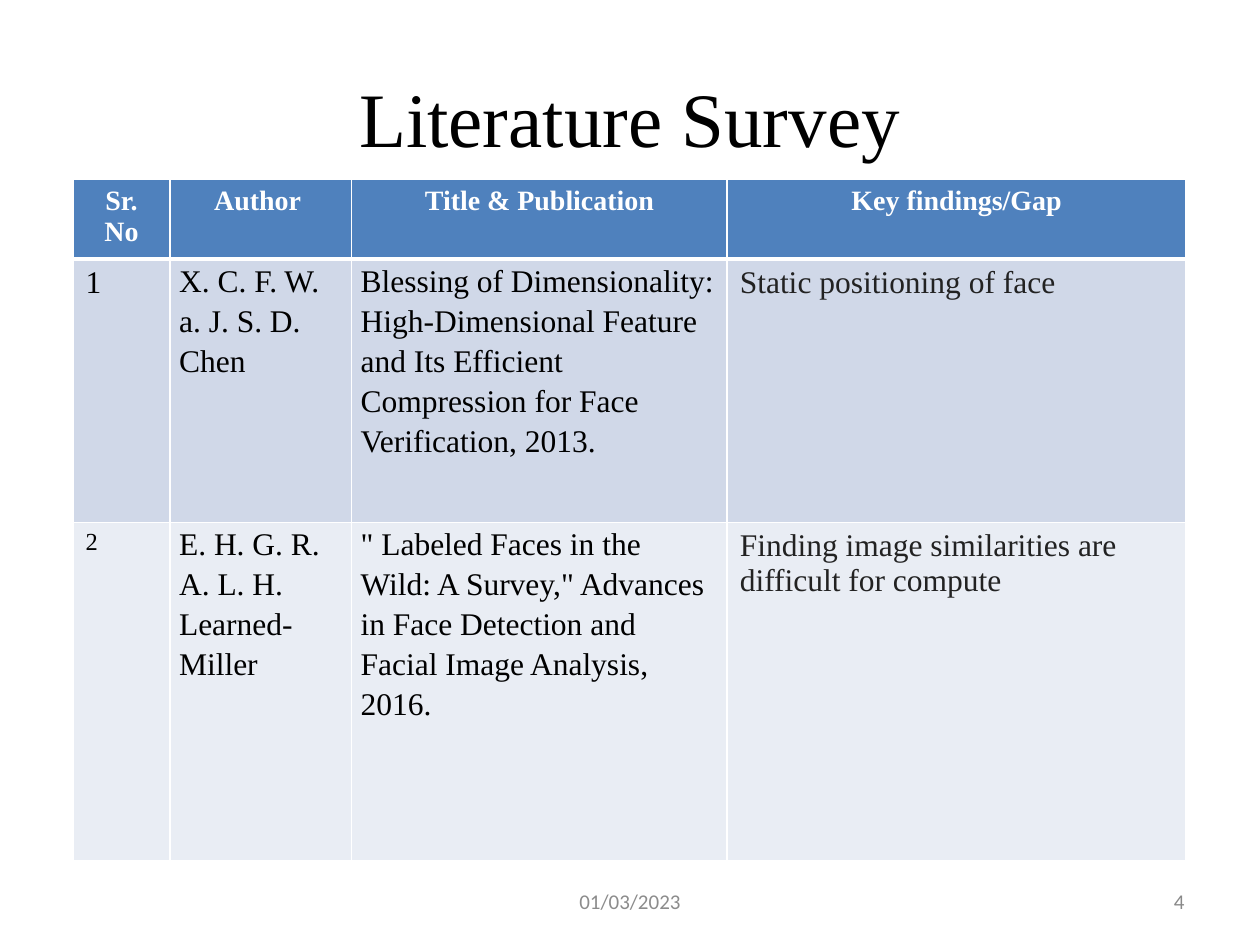
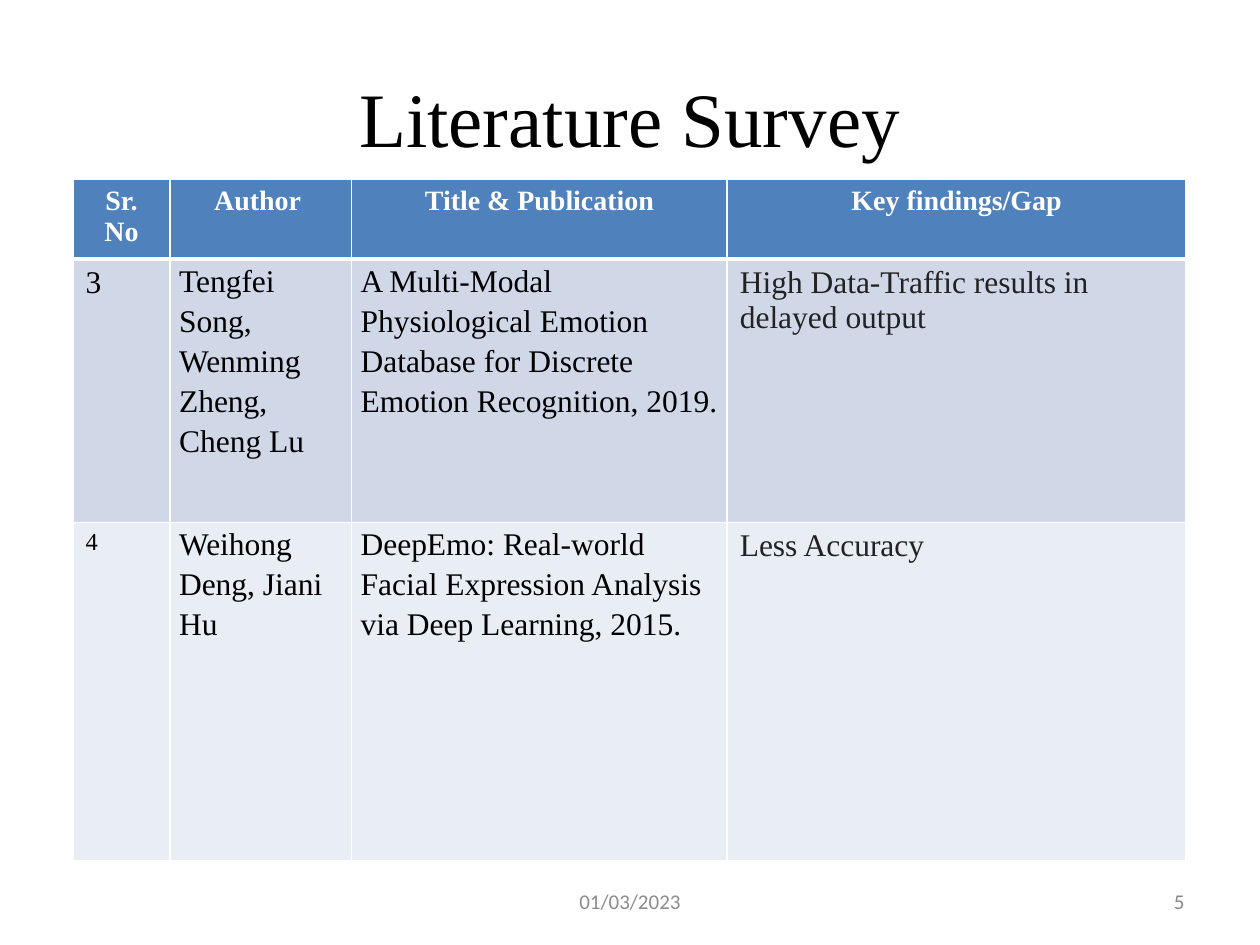
from lxml.etree import SubElement
from pptx import Presentation
from pptx.dml.color import RGBColor
from pptx.enum.text import MSO_ANCHOR, PP_ALIGN
from pptx.oxml.ns import qn
from pptx.util import Cm, Pt

TITLE = "Literature Survey"
DATE = "01/03/2023"
HEADINGS = ["Sr. No", "Author ", "Title & Publication", "Key findings/Gap"]
SURVEY_PAGES = {
    4: [
        ("1", "X. C. F. W. a. J. S. D. Chen",
         "Blessing of Dimensionality: High-Dimensional Feature and Its Efficient "
         "Compression for Face Verification, 2013.",
         "Static positioning of face "),
        ("2", "E. H. G. R. A. L. H. Learned-Miller",
         "\" Labeled Faces in the Wild: A Survey,\" Advances in Face Detection "
         "and Facial Image Analysis, 2016.",
         "Finding image similarities are difficult for compute"),
    ],
    5: [
        ("3", "Tengfei Song, Wenming Zheng, Cheng Lu",
         "A Multi-Modal Physiological Emotion Database for Discrete Emotion "
         "Recognition, 2019.",
         "High Data-Traffic results in delayed output"),
        ("4", "Weihong Deng, Jiani Hu",
         "DeepEmo: Real-world Facial Expression Analysis via Deep Learning, 2015.",
         "Less Accuracy"),
    ],
}

COLORS = {
    "text": "000000", "finding": "222222", "heading": "FFFFFF", "border": "FFFFFF",
    "header": "4F81BD", "odd": "D0D8E8", "even": "E9EDF4",
    "number": "898989", "date": "8C8C8C",
}
SERIF, SANS = "Times New Roman", "Calibri"
COLUMN_WIDTHS = [Cm(1.96), Cm(3.66), Cm(7.57), Cm(9.25)]
ROW_HEIGHTS = [Cm(1.6), Cm(5.31), Cm(6.83)]
ROW_FILLS = ["header", "odd", "even"]
NUMBER_SIZES = [16, 18, 14]
FOOTER_TOP, FOOTER_HEIGHT = Cm(17.65), Cm(1.02)


def rgb(color):
    return RGBColor.from_string(COLORS[color])


def style(paragraph, size, color, font=SERIF, align=PP_ALIGN.LEFT, bold=False):
    paragraph.alignment = align
    paragraph.font.name = font
    paragraph.font.size = Pt(size)
    paragraph.font.bold = bold
    paragraph.font.color.rgb = rgb(color)


def add_text(slide, text, left, top, width, height, **look):
    frame = slide.shapes.add_textbox(left, top, width, height).text_frame
    frame.word_wrap = True
    frame.vertical_anchor = MSO_ANCHOR.MIDDLE
    frame.text = text
    style(frame.paragraphs[0], **look)


def add_borders(cell, is_header, is_below_header):
    properties = cell._tc.get_or_add_tcPr()
    widths = {"L": 1, "R": 1, "T": 3 if is_below_header else 1, "B": 3 if is_header else 1}
    for side, width in widths.items():
        line = SubElement(properties, qn(f"a:ln{side}"), w=str(Pt(width)))
        fill = SubElement(line, qn("a:solidFill"))
        SubElement(fill, qn("a:srgbClr"), val=COLORS["border"])


def fill_cell(cell, text, row, column):
    add_borders(cell, row == 0, row == 1)
    cell.fill.solid()
    cell.fill.fore_color.rgb = rgb(ROW_FILLS[row])
    cell.text = text
    paragraph = cell.text_frame.paragraphs[0]
    if row == 0:
        style(paragraph, 16, "heading", align=PP_ALIGN.CENTER, bold=True)
        return
    style(paragraph, NUMBER_SIZES[row] if column == 0 else 18,
          "finding" if column == 3 else "text")
    if column in (1, 2):
        paragraph.line_spacing = 1.15
        cell.margin_left = cell.margin_right = Cm(0.18)
        cell.margin_top = cell.margin_bottom = 0


def add_survey(slide, papers):
    survey = slide.shapes.add_table(
        len(ROW_HEIGHTS), len(COLUMN_WIDTHS), Cm(1.47), Cm(3.61),
        sum(COLUMN_WIDTHS), sum(ROW_HEIGHTS)).table
    for column, width in zip(survey.columns, COLUMN_WIDTHS):
        column.width = width
    for row, height in zip(survey.rows, ROW_HEIGHTS):
        row.height = height
    for r, entries in enumerate([HEADINGS, *papers]):
        for c, text in enumerate(entries):
            fill_cell(survey.cell(r, c), text, r, c)


def main():
    deck = Presentation()
    deck.slide_width, deck.slide_height = Cm(25.4), Cm(19.05)
    for number, papers in SURVEY_PAGES.items():
        slide = deck.slides.add_slide(deck.slide_layouts[6])
        add_text(slide, TITLE, Cm(1.27), Cm(0.76), Cm(22.86), Cm(3.18),
                 size=44, color="text", align=PP_ALIGN.CENTER)
        add_survey(slide, papers)
        add_text(slide, str(number), Cm(18.2), FOOTER_TOP, Cm(5.93), FOOTER_HEIGHT,
                 size=12, color="number", font=SANS, align=PP_ALIGN.RIGHT)
        add_text(slide, DATE, Cm(8.68), FOOTER_TOP, Cm(8.04), FOOTER_HEIGHT,
                 size=12, color="date", font=SANS, align=PP_ALIGN.CENTER)
    deck.save("out.pptx")


if __name__ == "__main__":
    main()
